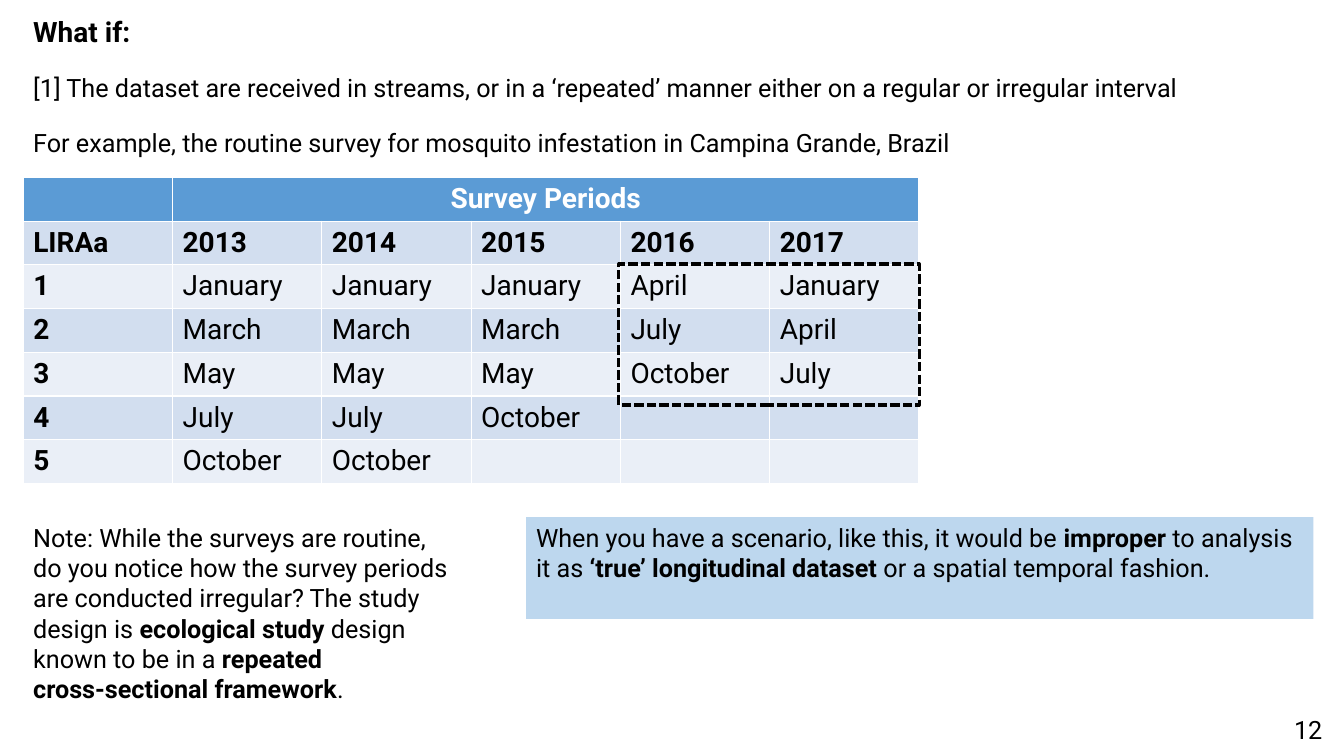
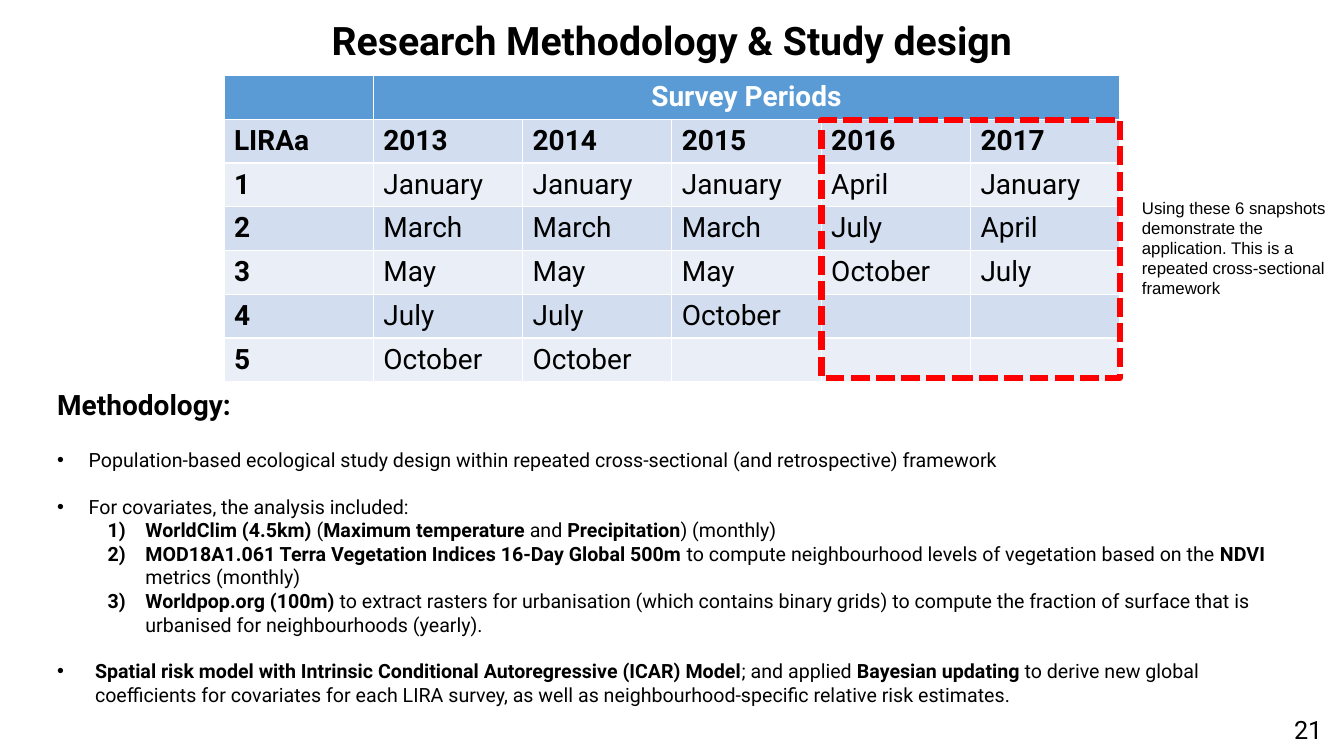
"""Build two slides on survey periods and study design."""
import pptx
import pptx.util
import pptx.dml.color
import pptx.enum.dml
import pptx.enum.shapes
import pptx.enum.text
from lxml import etree

Pt = pptx.util.Pt
ALIGN = pptx.enum.text.PP_ALIGN
ANCHOR = pptx.enum.text.MSO_ANCHOR

BLACK, WHITE, RED = "000000", "FFFFFF", "FF0000"
HEADER, BAND_DARK, BAND_LIGHT, CALLOUT = "5B9BD5", "D2DEEF", "EAEFF7", "BDD7EE"
FONT, NOTE_FONT = "Roboto", "Arial"
TABLE_WIDTH, ROW_HEIGHT = 640, 31.2

PERIODS = [
    ["LIRAa", "2013", "2014", "2015", "2016", "2017"],
    ["1", "January", "January", "January", "April", "January"],
    ["2", "March", "March", "March", "July", "April"],
    ["3", "May", "May", "May", "October", "July"],
    ["4", "July", "July", "October", "", ""],
    ["5", "October", "October", "", "", ""],
]

# Double asterisks switch bold on and off.
INTRO = [
    (6.5, "**What if:**", 20),
    (48.2, "[1] The dataset are received in streams, or in a ‘repeated’ manner "
           "either on a regular or irregular interval", 18),
    (87.1, "For example, the routine survey for mosquito infestation in "
           "Campina Grande, Brazil", 18),
]
SURVEY_NOTE = [
    "Note: While the surveys are routine,",
    "do you notice how the survey periods",
    "are conducted irregular? The study",
    "design is **ecological study **design",
    "known to be in a **repeated**",
    "**cross-sectional framework**.",
]
WARNING = ("When you have a scenario, like this, it would be **improper** to analysis "
           "it as **‘true’ longitudinal dataset** or a spatial temporal fashion.")
TITLE = "**Research Methodology & Study design**"
SNAPSHOTS = ("Using these 6 snapshots demonstrate the application. "
             "This is a repeated cross-sectional framework")

BULLET = ("buChar", {"char": "•"})
NUMBER = ("buAutoNum", {"type": "arabicParenR"})
METHODS = [
    ("**Methodology:**", 20, 0, None, 0, 0),
    ("Population-based ecological study design within repeated cross-sectional "
     "(and retrospective) framework", 14, 19, BULLET, 22.5, 22.5),
    ("For covariates, the analysis included:", 14, 16.5, BULLET, 22.5, 22.5),
    ("**WorldClim (4.5km)** (**Maximum temperature **and **Precipitation**) (monthly)",
     14, 0, NUMBER, 63, 27),
    ("**MOD18A1.061 Terra Vegetation Indices 16-Day Global 500m **to compute "
     "neighbourhood levels of vegetation based on the **NDVI** metrics (monthly)",
     14, 0, NUMBER, 63, 27),
    ("**Worldpop.org (100m) **to extract rasters for urbanisation (which contains "
     "binary grids) to compute the fraction of surface that is urbanised for "
     "neighbourhoods (yearly).", 14, 0, NUMBER, 63, 27),
    ("**Spatial risk model with Intrinsic Conditional Autoregressive (ICAR) Model**; "
     "and applied **Bayesian updating** to derive new global coefficients for "
     "covariates for each LIRA survey, as well as neighbourhood-specific relative "
     "risk estimates.", 14, 16.5, BULLET, 27, 27),
]


def rgb(value):
    """Return a colour from a hex string."""
    return pptx.dml.color.RGBColor.from_string(value)


def write(p, markup, size, color=BLACK, font=FONT):
    """Add runs to a paragraph, with marked parts in bold."""
    for i, part in enumerate(markup.split("**")):
        if part:
            r = p.add_run()
            r.text = part
            r.font.size, r.font.name, r.font.bold = Pt(size), font, i % 2 == 1
            r.font.color.rgb = rgb(color)


def paragraphs(tf, count):
    """Return the first paragraph of a frame and as many more as needed."""
    return [tf.paragraphs[0]] + [tf.add_paragraph() for _ in range(count - 1)]


def add_text(s, box, lines, size, font=FONT):
    """Add a wrapped text box with one paragraph per line."""
    tf = s.shapes.add_textbox(*map(Pt, box)).text_frame
    tf.word_wrap = True
    for p, line in zip(paragraphs(tf, len(lines)), lines):
        write(p, line, size, font=font)
    return tf


def add_box(s, box, fill=None, line=None, weight=0):
    """Add a rectangle with an optional fill and dashed outline."""
    sp = s.shapes.add_shape(pptx.enum.shapes.MSO_SHAPE.RECTANGLE, *map(Pt, box))
    sp.shadow.inherit = False
    if fill:
        sp.fill.solid()
        sp.fill.fore_color.rgb = rgb(fill)
    else:
        sp.fill.background()
    if line:
        sp.line.color.rgb = rgb(line)
        sp.line.width = Pt(weight)
        sp.line.dash_style = pptx.enum.dml.MSO_LINE.SQUARE_DOT
    else:
        sp.line.fill.background()
    return sp


def add_periods(s, left, top):
    """Add the table of survey periods."""
    rows = [["", "Survey Periods", "", "", "", ""]] + PERIODS
    table = s.shapes.add_table(len(rows), 6, Pt(left), Pt(top), Pt(TABLE_WIDTH),
                               Pt(ROW_HEIGHT * len(rows))).table
    for i, row in enumerate(rows):
        table.rows[i].height = Pt(ROW_HEIGHT)
        fill = HEADER if i == 0 else BAND_DARK if i % 2 else BAND_LIGHT
        for j, value in enumerate(row):
            cell = table.cell(i, j)
            cell.fill.solid()
            cell.fill.fore_color.rgb = rgb(fill)
            bold = i < 2 or j == 0
            write(cell.text_frame.paragraphs[0], f"**{value}**" if bold else value,
                  20, BLACK if i else WHITE)
    table.cell(0, 1).merge(table.cell(0, 5))
    table.cell(0, 1).text_frame.paragraphs[0].alignment = ALIGN.CENTER


def add_list(s, box, items):
    """Add a text box of bulleted and numbered paragraphs."""
    tf = add_text(s, box, [""], 14)
    for p, item in zip(paragraphs(tf, len(items)), items):
        markup, size, before, marker, margin, hanging = item
        if marker:
            tag, attributes = marker
            pPr = p._p.get_or_add_pPr()
            pPr.set("marL", str(int(Pt(margin))))
            pPr.set("indent", str(-int(Pt(hanging))))
            ns = "{" + pPr.nsmap["a"] + "}"
            etree.SubElement(pPr, ns + "buFont", {"typeface": NOTE_FONT})
            etree.SubElement(pPr, ns + tag, attributes)
            p.level = 1 if marker is NUMBER else 0
        if before:
            p.space_before = Pt(before)
        write(p, markup, size)


def add_slide(prs, number):
    """Add a blank slide with its number."""
    s = prs.slides.add_slide(prs.slide_layouts[6])
    add_text(s, (917.3, 506.9, 42.7, 11.5), [str(number)], 18)
    return s


def build_scenario(prs):
    """Build the slide on irregular survey periods."""
    s = add_slide(prs, 12)
    for top, line, size in INTRO:
        add_text(s, (16.6, top, 860, 29), [line], size)
    add_periods(s, 16.6, 126.7)
    add_box(s, (442, 188.6, 214.6, 100.8), line=BLACK, weight=2.25)
    add_text(s, (16.6, 369.4, 330, 138), SURVEY_NOTE, 18)
    tf = add_box(s, (375.8, 369.4, 562.3, 72.7), fill=CALLOUT).text_frame
    tf.word_wrap = True
    tf.vertical_anchor = ANCHOR.TOP
    p = tf.paragraphs[0]
    p.alignment = ALIGN.LEFT
    write(p, WARNING, 18)


def build_methodology(prs):
    """Build the slide on methodology and study design."""
    s = add_slide(prs, 21)
    tf = add_text(s, (15.8, 7.9, 928, 44.6), [TITLE], 28)
    tf.vertical_anchor = ANCHOR.MIDDLE
    tf.paragraphs[0].alignment = ALIGN.CENTER
    tf.paragraphs[0].line_spacing = 0.9
    add_periods(s, 160, 54)
    add_list(s, (33.8, 273.6, 884, 237.6), METHODS)
    add_box(s, (586.8, 85.7, 213.1, 184.3), line=RED, weight=4.5)
    add_text(s, (808.6, 137.5, 147, 80), [SNAPSHOTS], 12, NOTE_FONT)


def main():
    """Build and save the presentation."""
    prs = pptx.Presentation()
    prs.slide_width, prs.slide_height = Pt(960), Pt(540)
    build_scenario(prs)
    build_methodology(prs)
    prs.save("out.pptx")


if __name__ == "__main__":
    main()
